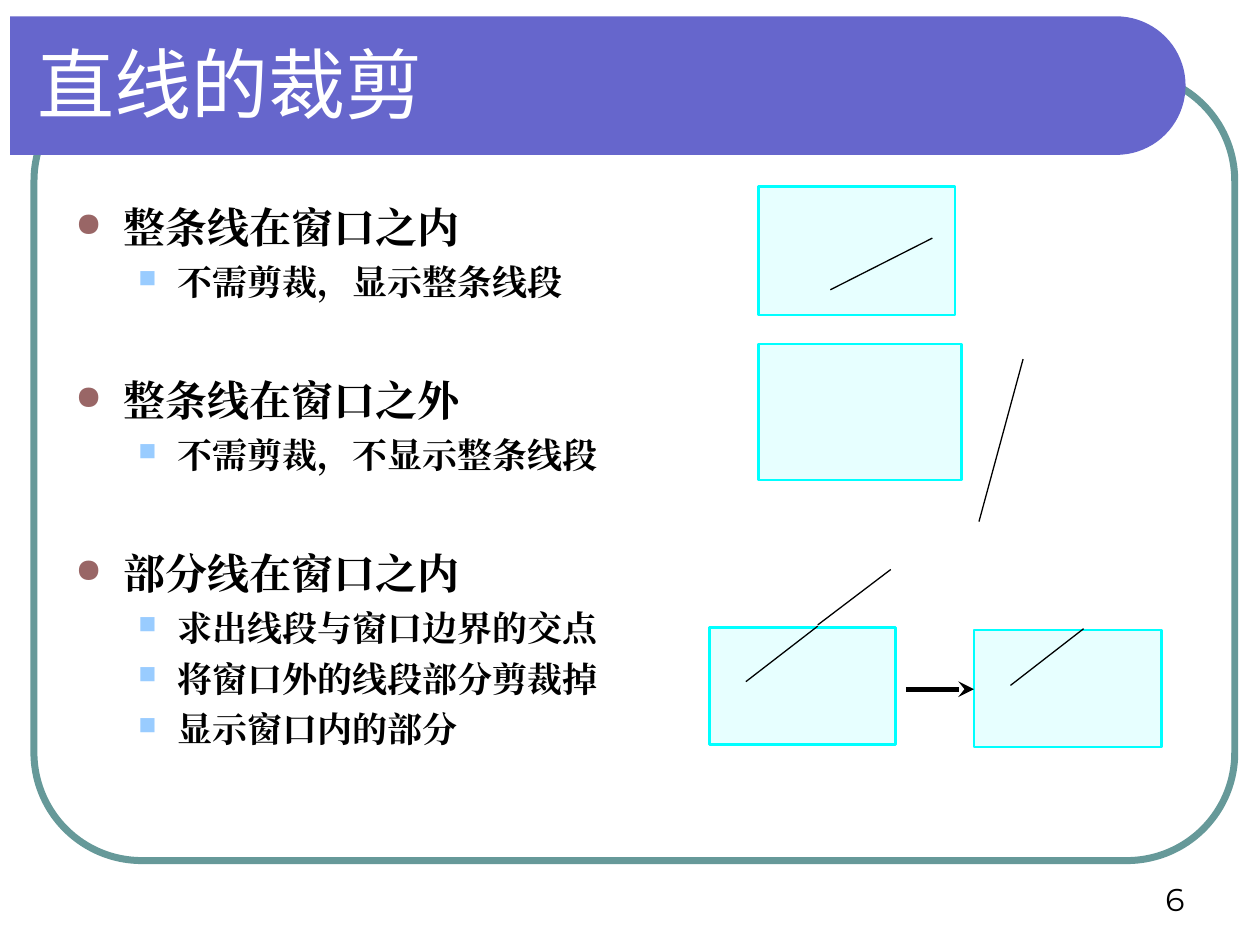
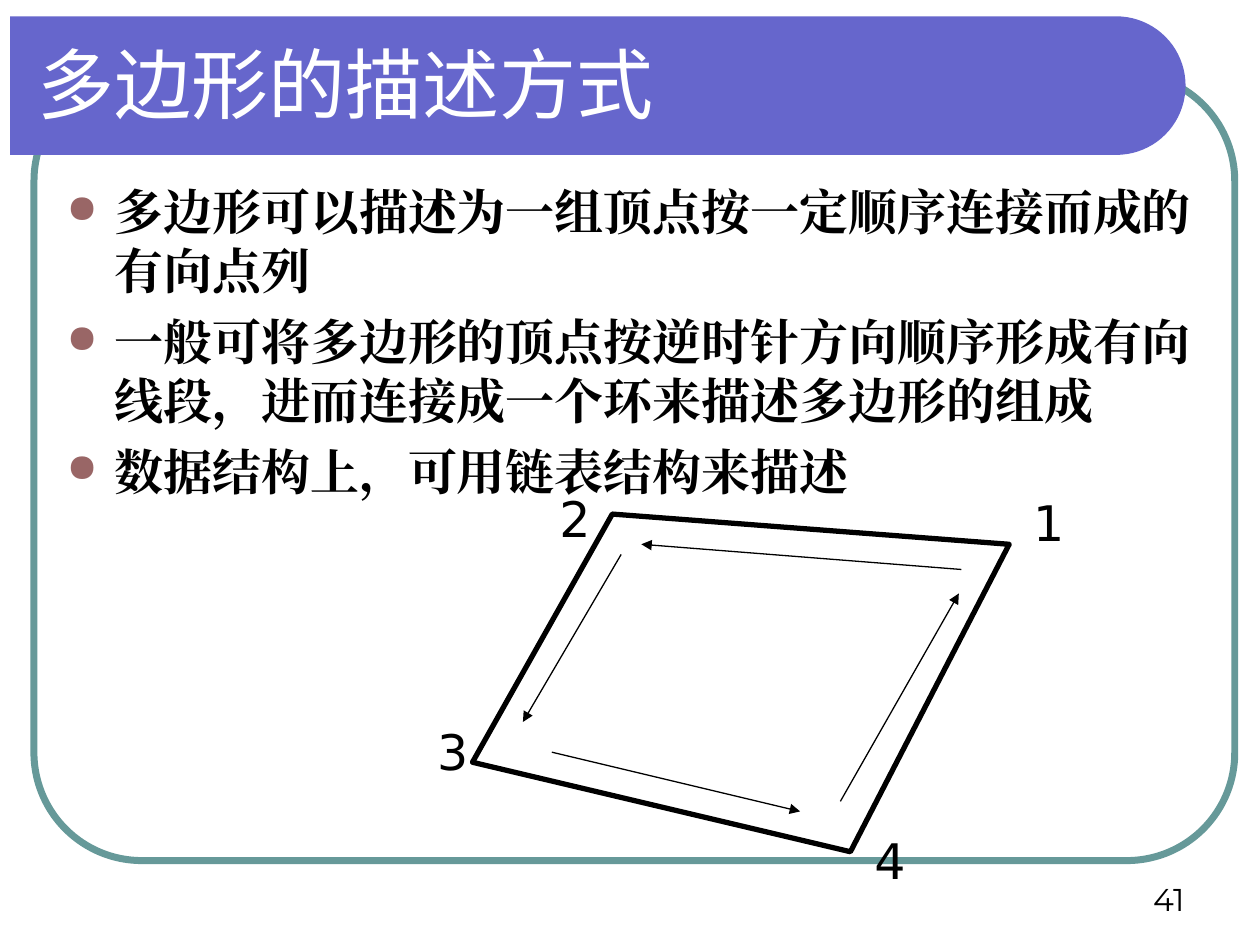
from math import cos, pi, sin

from pptx import Presentation
from pptx.dml.color import RGBColor
from pptx.enum.shapes import MSO_CONNECTOR as Link, MSO_SHAPE as Kind
from pptx.enum.text import MSO_ANCHOR as Anchor, PP_ALIGN as Align
from pptx.oxml.ns import qn
from pptx.util import Inches, Pt
from lxml.etree import SubElement

WHITE = RGBColor(0xFF, 0xFF, 0xFF)
BLACK = RGBColor(0, 0, 0)
TEAL = RGBColor(0x66, 0x99, 0x99)
VIOLET = RGBColor(0x66, 0x66, 0xCC)
CYAN = RGBColor(0, 0xFF, 0xFF)
PALE = RGBColor(0xCC, 0xFF, 0xFF)

TITLE = {"name": "Arial", "size": Pt(44), "color": WHITE}
BODY = {"name": "Times New Roman", "bold": True, "color": BLACK}
PAGE = {"name": "Montserrat", "size": Pt(18), "color": BLACK}
LABEL = {"name": "DejaVu Sans", "size": Pt(28), "color": BLACK}

# Per level: bullet, its colour and size, left margin, hanging indent
BULLETS = [("●", "996666", 80, 0.38, 0.38), ("■", "99CCFF", 70, 0.81, 0.31)]

CLIP = {
    "title": "直线的裁剪",
    "page": "6",
    "box": (0.5, 1.55, 9, 5.33),
    "sizes": (24, 20),
    "gaps": (41, 5),
    "items": [
        (0, "整条线在窗口之内"),
        (1, "不需剪裁，显示整条线段"),
        (0, "整条线在窗口之外"),
        (1, "不需剪裁，不显示整条线段"),
        (0, "部分线在窗口之内"),
        (1, "求出线段与窗口边界的交点"),
        (1, "将窗口外的线段部分剪裁掉"),
        (1, "显示窗口内的部分"),
    ],
}
PANES = [(6.02, 1.48, 1.56, 1.02), (6.02, 2.73, 1.61, 1.08),
         (5.63, 4.98, 1.48, 0.93), (7.73, 5, 1.49, 0.93)]
LINES = [((6.59, 2.3), (7.4, 1.89)), ((7.77, 4.14), (8.12, 2.85)),
         ((5.92, 5.41), (6.49, 4.97)), ((6.49, 4.96), (7.07, 4.52)),
         ((8.02, 5.44), (8.6, 4.99))]
STEP = ((7.19, 5.47), (7.73, 5.47))

POLY = {
    "title": "多边形的描述方式",
    "page": "41",
    "box": (0.43, 1.39, 9.21, 5.36),
    "sizes": (28,),
    "gaps": (7,),
    "items": [
        (0, "多边形可以描述为一组顶点按一定顺序连接而成的有向点列"),
        (0, "一般可将多边形的顶点按逆时针方向顺序形成有向线段，"
            "进而连接成一个环来描述多边形的组成"),
        (0, "数据结构上，可用链表结构来描述"),
    ],
}
CORNERS = [(4.86, 4.08), (3.75, 6.05), (6.75, 6.76), (8.01, 4.32)]
MARKS = [("2", 4.34, 3.83), ("3", 3.37, 5.68), ("4", 6.84, 6.54), ("1", 8.1, 3.86)]
ARROWS = [((4.93, 4.4), (4.15, 5.73)), ((4.38, 5.97), (6.35, 6.44)),
          ((6.67, 6.36), (7.61, 4.71)), ((7.63, 4.52), (5.09, 4.32))]


def inches(vals):
    return [Inches(v) for v in vals]


def paint(shape, fill=None, line=None, width=1):
    shape.shadow.inherit = False
    if fill is None:
        shape.fill.background()
    else:
        shape.fill.solid()
        shape.fill.fore_color.rgb = fill
    if line is None:
        shape.line.fill.background()
    else:
        shape.line.color.rgb = line
        shape.line.width = Pt(width)


def write(para, text, style):
    run = para.add_run()
    run.text = text
    for key, val in style.items():
        if key == "color":
            run.font.color.rgb = val
        else:
            setattr(run.font, key, val)
    SubElement(run.font._element, qn("a:ea"), typeface=style["name"])


def add_box(slide, area, anchor=Anchor.TOP, wrap=True):
    frame = slide.shapes.add_textbox(*inches(area)).text_frame
    frame.word_wrap = wrap
    frame.vertical_anchor = anchor
    return frame


def add_line(slide, start, end, color=BLACK, width=0.75, head=None):
    line = slide.shapes.add_connector(Link.STRAIGHT, *inches(start + end))
    line.line.color.rgb = color
    line.line.width = Pt(width)
    if head:
        SubElement(line.line._get_or_add_ln(), qn("a:tailEnd"), type=head)
    SubElement(line._element.spPr, qn("a:effectLst"))


def add_path(slide, points, **look):
    """Draw a closed outline through points given in inches."""
    first, *rest = [inches(p) for p in points]
    pen = slide.shapes.build_freeform(*first, scale=1.0)
    pen.add_line_segments(rest, close=True)
    paint(pen.convert_to_shape(), **look)


def add_bullet(para, level):
    char, color, size, left, hang = BULLETS[level]
    props = para._p.get_or_add_pPr()
    props.set("marL", str(Inches(left)))
    props.set("indent", str(-Inches(hang)))
    tint = SubElement(props, qn("a:buClr"))
    SubElement(tint, qn("a:srgbClr"), val=color)
    SubElement(props, qn("a:buSzPct"), val=str(size * 1000))
    SubElement(props, qn("a:buChar"), char=char)


def add_list(slide, data):
    frame = add_box(slide, data["box"])
    for i, (level, text) in enumerate(data["items"]):
        para = frame.add_paragraph() if i else frame.paragraphs[0]
        para.level = level
        add_bullet(para, level)
        para.space_before = Pt(data["gaps"][level] if i else 0)
        write(para, text, BODY | {"size": Pt(data["sizes"][level])})


def add_base(deck, data):
    """Start a slide with the frame, title band, list and page number."""
    slide = deck.slides.add_slide(deck.slide_layouts[6])
    frame = slide.shapes.add_shape(Kind.ROUNDED_RECTANGLE, *inches((0.27, 0.58, 9.53, 6.25)))
    frame.adjustments[0] = 0.137
    paint(frame, line=TEAL, width=4)

    turns = [pi * (i / 40 - 0.5) for i in range(41)]
    arc = [(8.86 + 0.55 * cos(t), 0.68 + 0.55 * sin(t)) for t in turns]
    add_path(slide, [(0.08, 0.13), *arc, (0.08, 1.23)], fill=VIOLET)
    add_line(slide, (0.34, 1.33), (9.17, 1.33), WHITE, 3)

    title = add_box(slide, (0.2, 0.13, 9.18, 1.05), Anchor.MIDDLE)
    write(title.paragraphs[0], data["title"], TITLE)
    add_list(slide, data)
    page = add_box(slide, (7.17, 6.83, 2.33, 0.5), Anchor.BOTTOM).paragraphs[0]
    page.alignment = Align.RIGHT
    write(page, data["page"], PAGE)
    return slide


def draw_clip(deck):
    slide = add_base(deck, CLIP)
    for area in PANES:
        pane = slide.shapes.add_shape(Kind.RECTANGLE, *inches(area))
        paint(pane, PALE, CYAN, 1.5)
        tint = pane._element.spPr.find(qn("a:solidFill"))[0]
        SubElement(tint, qn("a:alpha"), val="46000")
    for start, end in LINES:
        add_line(slide, start, end)
    add_line(slide, *STEP, width=3, head="stealth")


def draw_poly(deck):
    slide = add_base(deck, POLY)
    add_path(slide, CORNERS, line=BLACK, width=3)
    for text, left, top in MARKS:
        mark = add_box(slide, (left, top, 0.42, 0.57), wrap=False)
        write(mark.paragraphs[0], text, LABEL)
    for start, end in ARROWS:
        add_line(slide, start, end, head="triangle")


def main():
    deck = Presentation()
    deck.slide_width, deck.slide_height = inches((10, 7.5))
    draw_clip(deck)
    draw_poly(deck)
    deck.save("out.pptx")


if __name__ == "__main__":
    main()
